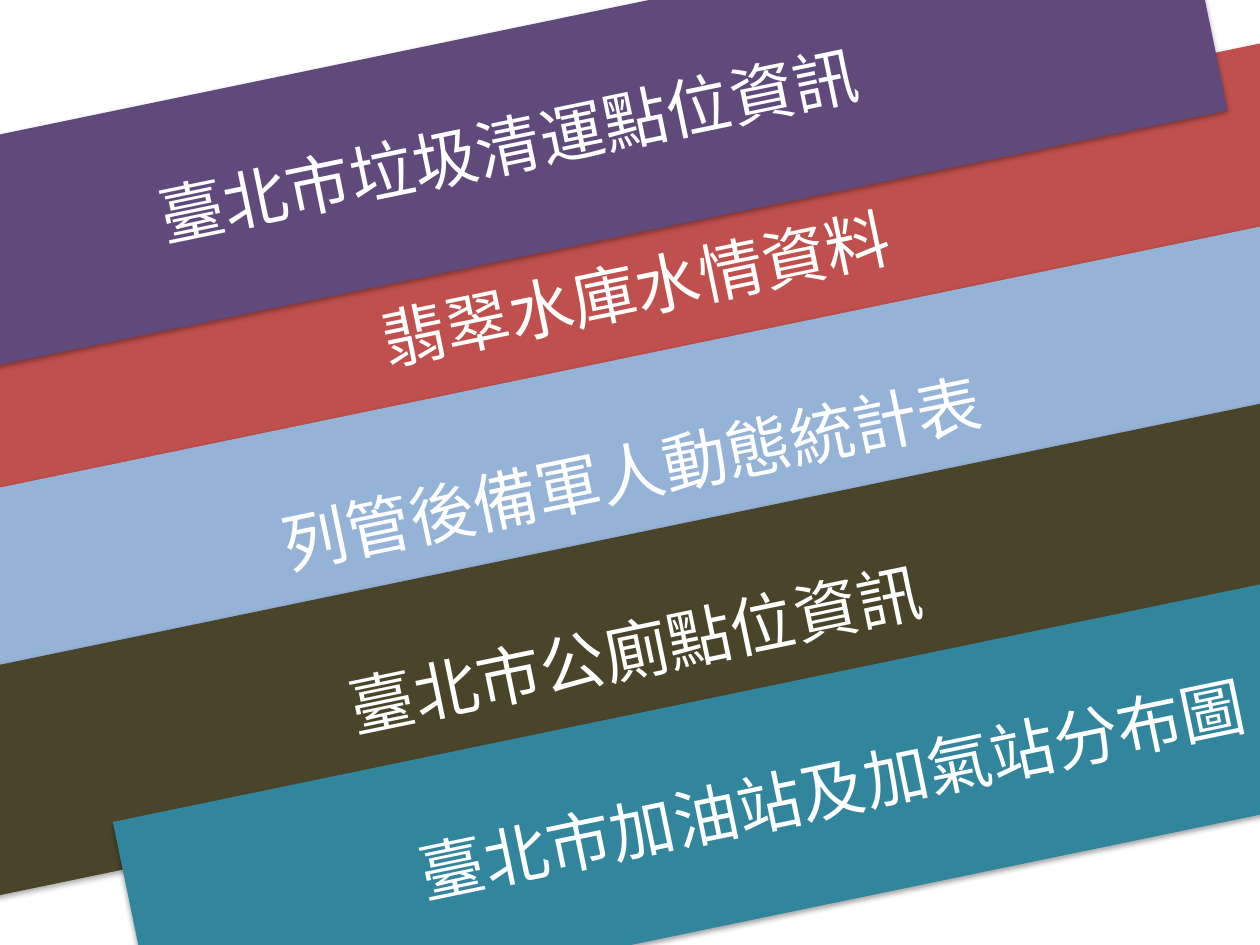
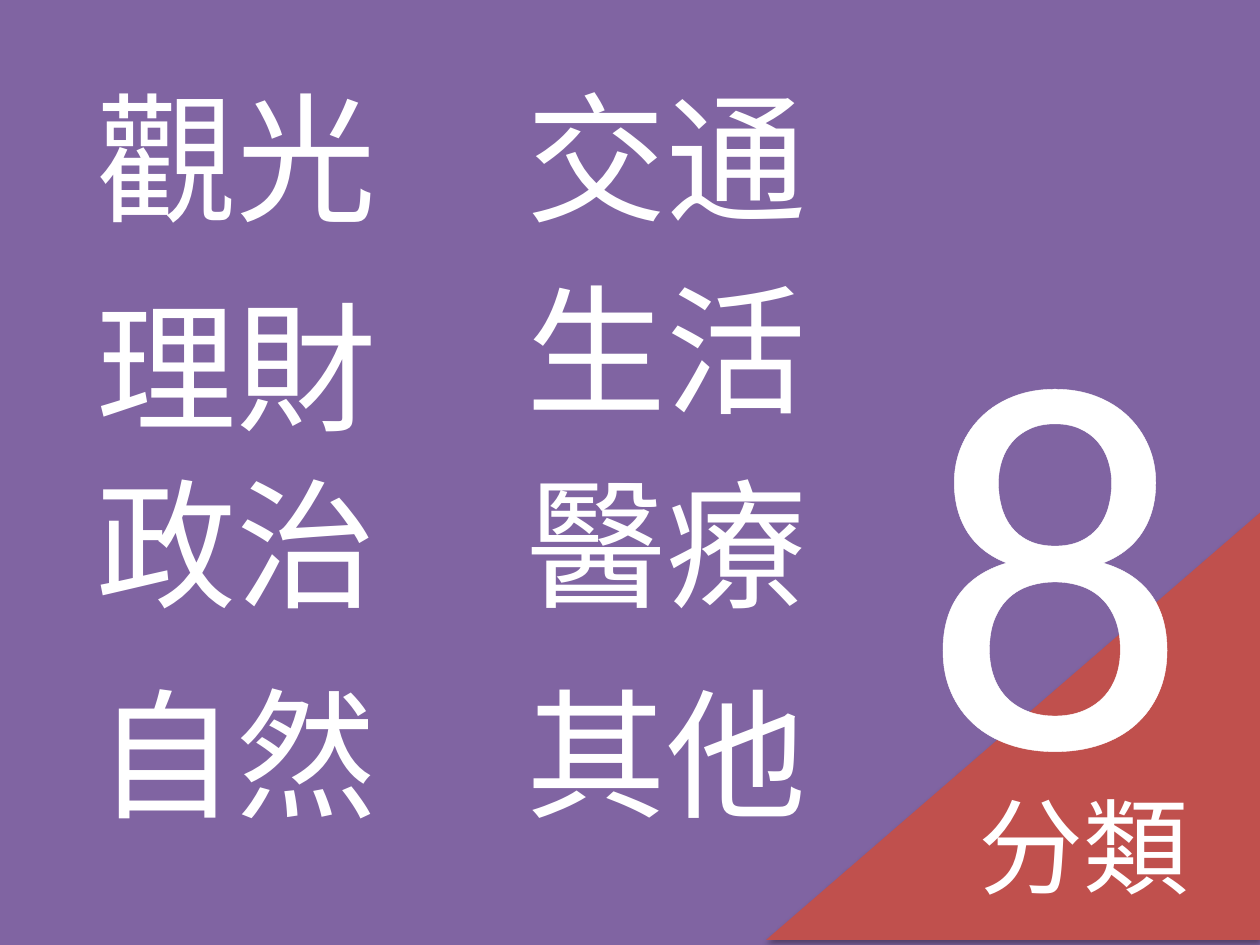
from dataclasses import dataclass
from typing import NamedTuple

from lxml.etree import SubElement
from pptx import Presentation
from pptx.dml.color import RGBColor
from pptx.enum.shapes import MSO_SHAPE as Shp
from pptx.enum.text import MSO_ANCHOR as Anchor, MSO_AUTO_SIZE as Fit, PP_ALIGN as Align
from pptx.oxml.ns import qn
from pptx.util import Pt


@dataclass(frozen=True)
class Theme:
    white: str = "FFFFFF"
    black: str = "000000"
    red: str = "C0504D"
    blue: str = "95B3D7"
    olive: str = "4A452A"
    plum: str = "604A7B"
    teal: str = "31859C"
    purple: str = "8064A2"
    font: str = "Calibri"
    cjk_font: str = "Noto Sans CJK SC"
    band_size: float = 37
    topic_size: float = 80
    count_size: float = 300
    unit_size: float = 60


T = Theme()
SLIDE_W, SLIDE_H = 720, 540
BAND_W, BAND_H, BAND_TILT = 812.9, 128.9, 348.3
TOPIC_W, TOPIC_H = 176.4, 104.4


class Box(NamedTuple):
    left: float
    top: float
    width: float
    height: float


class Band(NamedTuple):
    text: str
    color: str
    left: float
    top: float


class Label(NamedTuple):
    text: str
    box: Box
    size: float
    font: str = T.font
    outline: float = 0


class TopicColumn(NamedTuple):
    left: float
    tops: tuple[float, ...]
    words: tuple[str, ...]


BANDS = (
    Band("翡翠水庫水情資料", T.red, -43.2, 100.1),
    Band("列管後備軍人動態統計表", T.blue, -45.4, 205.2),
    Band("臺北市公廁點位資訊", T.olive, -43.2, 306),
    Band("臺北市垃圾清運點位資訊", T.plum, -115.9, 18),
    Band("臺北市加油站及加氣站分布圖", T.teal, 69.1, 385.9),
)
TOPICS = (
    TopicColumn(48.2, (37.4, 157, 257.8, 378), ("觀光", "理財", "政治", "自然")),
    TopicColumn(293.8, (37.4, 146.9, 257.8, 378), ("交通", "生活", "醫療", "其他")),
)
LABELS = (
    Label("8", Box(519.8, 123.8, 167.8, 370.8), T.count_size, outline=1.45),
    Label("分類", Box(552.2, 442.8, 135.4, 79.9), T.unit_size, T.cjk_font),
)


def apply(target: object, **formats: object) -> None:
    for name, value in formats.items():
        setattr(target, name, value)


def add_color(parent, color: str):
    return SubElement(parent, qn("a:srgbClr"), val=color)


def add_shadow(s) -> None:
    effects = s._element.spPr.find(qn("a:effectLst"))
    shadow = SubElement(effects, qn("a:outerShdw"), blurRad=str(Pt(3.1)),
                        dist=str(Pt(1.8)), dir="5400000", rotWithShape="0")
    SubElement(add_color(shadow, T.black), qn("a:alpha"), val="35000")


def add_block(slide, kind: Shp, box: Box, color: str, shadow: bool = True):
    s = slide.shapes.add_shape(kind, *map(Pt, box))
    s.fill.solid()
    s.fill.fore_color.rgb = RGBColor.from_string(color)
    s.line.fill.background()
    s.shadow.inherit = False
    if shadow:
        add_shadow(s)
    return s


def write(tf, text: str, size: float, font: str = T.font):
    r = tf.paragraphs[0].add_run()
    r.text = text
    apply(r.font, size=Pt(size), name=font)
    r.font.color.rgb = RGBColor.from_string(T.white)
    return r


def add_band(slide, band: Band) -> None:
    s = add_block(slide, Shp.RECTANGLE, Box(band.left, band.top, BAND_W, BAND_H), band.color)
    s.rotation = BAND_TILT
    tf = s.text_frame
    apply(tf, word_wrap=True, vertical_anchor=Anchor.MIDDLE)
    write(tf, band.text, T.band_size)
    tf.paragraphs[0].alignment = Align.CENTER


def add_label(slide, label: Label) -> None:
    tf = slide.shapes.add_textbox(*map(Pt, label.box)).text_frame
    apply(tf, word_wrap=False, auto_size=Fit.SHAPE_TO_FIT_TEXT)
    r = write(tf, label.text, label.size, label.font)
    if label.outline:
        props = r.font._element
        ln = SubElement(props, qn("a:ln"), w=str(Pt(label.outline)))
        add_color(SubElement(ln, qn("a:solidFill")), T.white)
        props.insert(0, ln)


def build_datasets(slide) -> None:
    for band in BANDS:
        add_band(slide, band)


def build_categories(slide) -> None:
    add_block(slide, Shp.RECTANGLE, Box(0, 0, SLIDE_W, SLIDE_H), T.purple, shadow=False)
    for column in TOPICS:
        for top, word in zip(column.tops, column.words):
            add_label(slide, Label(word, Box(column.left, top, TOPIC_W, TOPIC_H), T.topic_size))
    corner = add_block(slide, Shp.RIGHT_TRIANGLE, Box(437.8, 293, 282.2, 244.1), T.red)
    corner._element.spPr.find(qn("a:xfrm")).set("flipH", "1")
    for label in LABELS:
        add_label(slide, label)


def main() -> None:
    """Build the dataset and category slides."""
    prs = Presentation()
    apply(prs, slide_width=Pt(SLIDE_W), slide_height=Pt(SLIDE_H))
    for build in (build_datasets, build_categories):
        build(prs.slides.add_slide(prs.slide_layouts[6]))
    prs.save("out.pptx")


if __name__ == "__main__":
    main()
